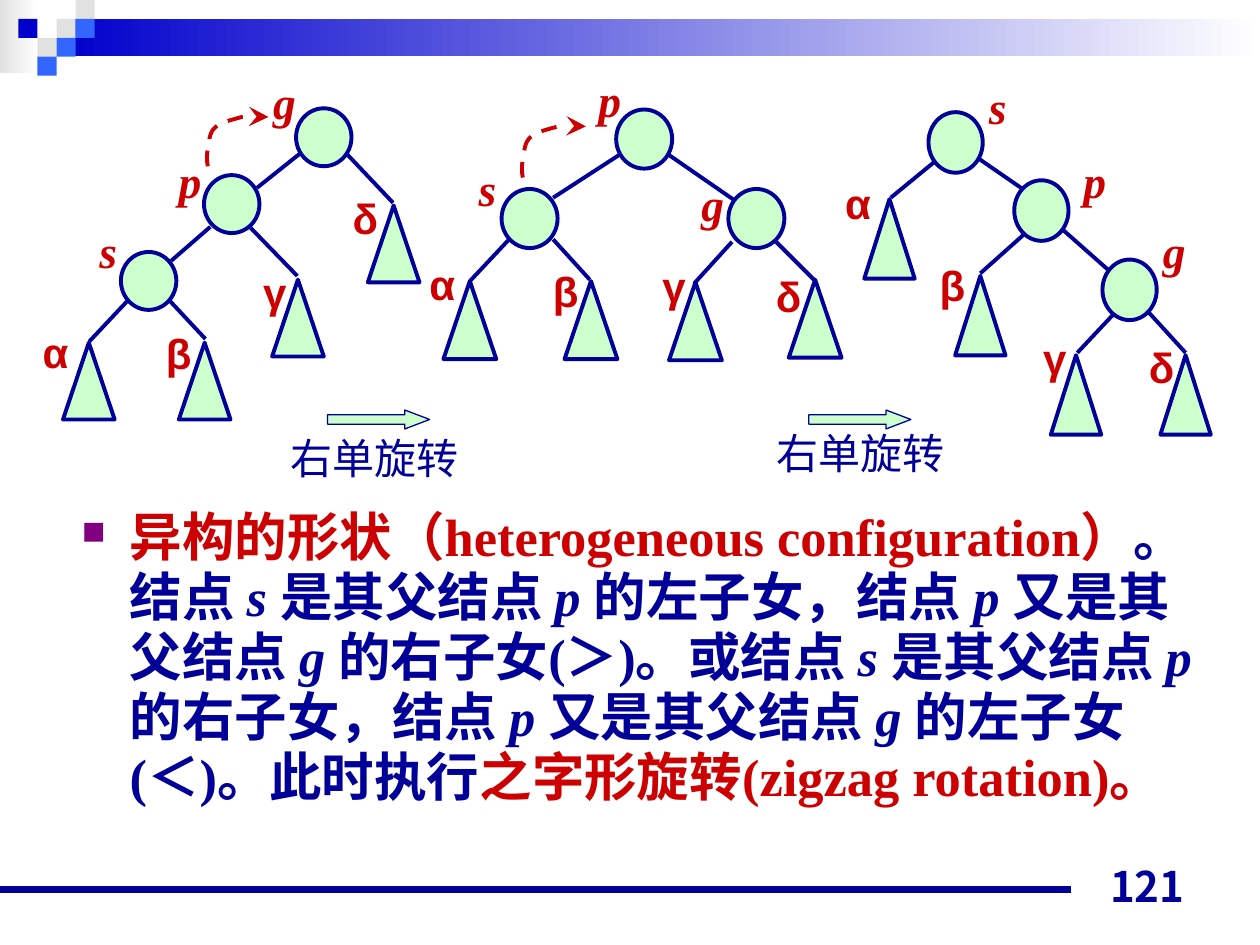
from lxml import etree
from pptx import Presentation
from pptx.dml.color import RGBColor
from pptx.enum.dml import MSO_LINE
from pptx.enum.shapes import MSO_CONNECTOR, MSO_SHAPE
from pptx.enum.text import MSO_ANCHOR, PP_ALIGN
from pptx.oxml.ns import qn
from pptx.util import Pt

NAVY, RED, GREEN = "000099", "CC0000", "CCFFCC"
GREY, BLUE, SKY = "E1E1E1", "0000CC", "3366FF"
rgb = RGBColor.from_string


def add_shape(kind, x, y, w, h, fill, line=None, width=2.25):
    sp = s.shapes.add_shape(kind, Pt(x), Pt(y), Pt(w), Pt(h))
    sp.shadow.inherit = False
    sp.fill.solid()
    sp.fill.fore_color.rgb = rgb(fill)
    if line:
        sp.line.color.rgb = rgb(line)
        sp.line.width = Pt(width)
    else:
        sp.line.fill.background()
    return sp


def add_text(x, y, w, h, runs, align=PP_ALIGN.LEFT, anchor=MSO_ANCHOR.TOP, wrap=True):
    tf = s.shapes.add_textbox(Pt(x), Pt(y), Pt(w), Pt(h)).text_frame
    tf.word_wrap = wrap
    tf.vertical_anchor = anchor
    p = tf.paragraphs[0]
    p.alignment = align
    for text, color, fmt in runs:
        r = p.add_run()
        r.text = text
        r.font.color.rgb = rgb(color)
        for key, value in fmt.items():
            setattr(r.font, key, value)
    return p


prs = Presentation()
prs.slide_width, prs.slide_height = Pt(720), Pt(540)
s = prs.slides.add_slide(prs.slide_layouts[6])

for x, y, w, h, color in [(0, 0, 22, 42, GREY), (32.4, 10.8, 687.6, 21.4, BLUE)]:
    sp = add_shape(MSO_SHAPE.RECTANGLE, x, y, w, h, color)
    sp.fill.gradient()
    sp.fill.gradient_angle = 0
    for stop, c in zip(sp.fill.gradient_stops, (color, "FFFFFF")):
        stop.color.rgb = rgb(c)

for col, row, color in [(2, 1, GREY), (3, 0, GREY), (3, 1, SKY), (1, 2, GREY),
                        (0, 1, BLUE), (2, 2, SKY), (1, 3, SKY)]:
    add_shape(MSO_SHAPE.RECTANGLE, 10.5 + 10.9 * col, 10.8 * row, 10.9, 10.8, color)

node_font = dict(name="Times New Roman", size=Pt(26), bold=True, italic=True)
leaf_font = dict(name="Arial", size=Pt(24), bold=True)
trees = [
    dict(node=(31.7, 33.1), leaf=(29.5, 43.9),
         nodes=[("p", 116.6, 100.1, 95, 84.2), ("g", 169.2, 61.9, 149, 38.9),
                ("s", 69.1, 144, 49.7, 123.8)],
         leaves=[("α", 36, 195.8, 17.3, 182.9), ("β", 102.2, 195.8, 87.8, 183.6),
                 ("γ", 155.5, 159.8, 143.3, 149), ("δ", 210.2, 117.4, 194.4, 106.6)],
         edges=[(72.7, 172.1, 51.1, 195.1), (97.2, 172.1, 117.4, 193.7),
                (171.4, 87.8, 146.9, 107.3), (143.3, 130.3, 169.9, 157.7),
                (120.2, 129.6, 97.9, 149), (198, 87.8, 224.6, 115.9)]),
    dict(node=(32, 33.8), leaf=(30.2, 44.6),
         nodes=[("p", 352.1, 62.6, 334.8, 37.4), ("g", 416.2, 108, 393.8, 97.2),
                ("s", 286.6, 108, 266.4, 88.6)],
         leaves=[("α", 253.4, 160.6, 238.3, 144), ("β", 322.6, 160.6, 308.9, 148.3),
                 ("γ", 382.3, 161.3, 371.5, 145.4), ("δ", 450.7, 159.8, 436.3, 151.2)],
         edges=[(290.9, 136.8, 268.6, 160.6), (316.1, 136.8, 337, 159.8),
                (355, 87.8, 316.1, 113), (382.3, 88.6, 419.8, 114.5),
                (418.3, 138.2, 396.7, 162), (443.5, 138.2, 465.1, 159.8)]),
    dict(node=(31, 34.6), leaf=(28.8, 45.4),
         nodes=[("p", 579.6, 103, 612, 84.2), ("g", 630, 148.3, 657.4, 123.8),
                ("s", 530.6, 64.1, 558, 41.8)],
         leaves=[("α", 493.9, 113.8, 475.9, 97.9), ("β", 545.8, 157.7, 529.9, 144.7),
                 ("γ", 600.5, 203, 589, 186.5), ("δ", 663.1, 203, 649.4, 191.5)],
         edges=[(586.8, 132.5, 560.2, 156.2), (637.2, 178.6, 615.6, 201.6),
                (607, 131, 637.2, 157.7), (654.5, 176.4, 677.5, 201.6),
                (557.3, 89.3, 585.4, 108.7), (533.5, 92.9, 509, 113)]),
]
edges = [(e, 2.25) for tree in trees for e in tree["edges"]]
for (x1, y1, x2, y2), width in edges + [((0, 508.3, 612, 508.3), 4.5)]:
    cn = s.shapes.add_connector(MSO_CONNECTOR.STRAIGHT, Pt(x1), Pt(y1), Pt(x2), Pt(y2))
    cn.line.color.rgb = rgb(NAVY)
    cn.line.width = Pt(width)
    etree.SubElement(cn._element.spPr, qn("a:effectLst"))

for tree in trees:
    for part, size, kind, font in [("nodes", "node", MSO_SHAPE.OVAL, node_font),
                                   ("leaves", "leaf", MSO_SHAPE.ISOSCELES_TRIANGLE, leaf_font)]:
        for name, x, y, tx, ty in tree[part]:
            add_shape(kind, x, y, *tree[size], GREEN, NAVY)
            add_text(tx, ty, 49.5, 47, [(name, RED, font)], PP_ALIGN.JUSTIFY)

arc = [(0, 0), (-0.7, -2.9), (-0.7, -6.5), (0, -10.1), (0.7, -13.7), (0.7, -19.4),
       (4.3, -22.3), (7.2, -25.2), (14.4, -26.6), (19.4, -28.1), (24.5, -28.8),
       (31.7, -28.1), (34.6, -28.1)]
for x0, y0, scale in [(118.8, 95, 1), (298.8, 101.5, 1.04)]:
    pts = []
    for i in range(0, 12, 3):
        for k in range(1, 9):
            t = k / 8
            weights = ((1 - t) ** 3, 3 * t * (1 - t) ** 2, 3 * t * t * (1 - t), t ** 3)
            dx, dy = (sum(w * q[a] for w, q in zip(weights, arc[i:i + 4])) for a in (0, 1))
            pts.append((Pt(x0 + scale * dx), Pt(y0 + scale * dy)))
    fb = s.shapes.build_freeform(Pt(x0), Pt(y0))
    fb.add_line_segments(pts, close=False)
    sp = fb.convert_to_shape()
    sp.shadow.inherit = False
    sp.fill.background()
    sp.line.color.rgb = rgb(RED)
    sp.line.width = Pt(2.25)
    sp.line.dash_style = MSO_LINE.DASH
    etree.SubElement(sp.line._get_or_add_ln(), qn("a:tailEnd"), type="stealth", w="lg", len="lg")

caption_font = dict(name="Arial", size=Pt(24))
for x, tx, ty in [(187.2, 159.1, 243.4), (462.2, 436.7, 240.7)]:
    sp = add_shape(MSO_SHAPE.RIGHT_ARROW, x, 234.3, 58.3, 10.8, GREEN, NAVY, 0.75)
    sp.adjustments[1] = 1.31
    add_text(tx, ty, 110.2, 36, [("右单旋转", NAVY, caption_font)], wrap=False)

body_font = dict(name="Times New Roman", size=Pt(30), bold=True)
body = [("异构的形状（heterogeneous configuration）", RED, False),
        ("。结点 ", NAVY, False), ("s ", NAVY, True),
        ("是其父结点 ", NAVY, False), ("p ", NAVY, True),
        ("的左子女，结点 ", NAVY, False), ("p ", NAVY, True),
        ("又是其父结点 ", NAVY, False), ("g ", NAVY, True),
        ("的右子女(＞)。或结点 ", NAVY, False), ("s ", NAVY, True),
        ("是其父结点 ", NAVY, False), ("p ", NAVY, True),
        ("的右子女，结点 ", NAVY, False), ("p ", NAVY, True),
        ("又是其父结点 ", NAVY, False), ("g ", NAVY, True),
        ("的左子女(＜)。此时执行", NAVY, False),
        ("之字形旋转(zigzag rotation)。", RED, False)]
p = add_text(39.6, 287.3, 652.3, 226.8,
             [(text, color, dict(body_font, italic=it)) for text, color, it in body])
p.line_spacing = 0.95
pPr = p._p.get_or_add_pPr()
for key, value in dict(marL=Pt(27.4), indent=Pt(-27.4), hangingPunct=0).items():
    pPr.set(key, str(value))
etree.SubElement(etree.SubElement(pPr, qn("a:buClr")), qn("a:srgbClr"), val="800080")
etree.SubElement(pPr, qn("a:buSzPct"), val="62000")
etree.SubElement(pPr, qn("a:buChar"), char="■")

page_font = dict(name="Noto Sans CJK JP", size=Pt(24), bold=True)
add_text(516.2, 488.2, 167.8, 36, [("121", NAVY, page_font)], PP_ALIGN.RIGHT, MSO_ANCHOR.BOTTOM)

prs.save("out.pptx")
